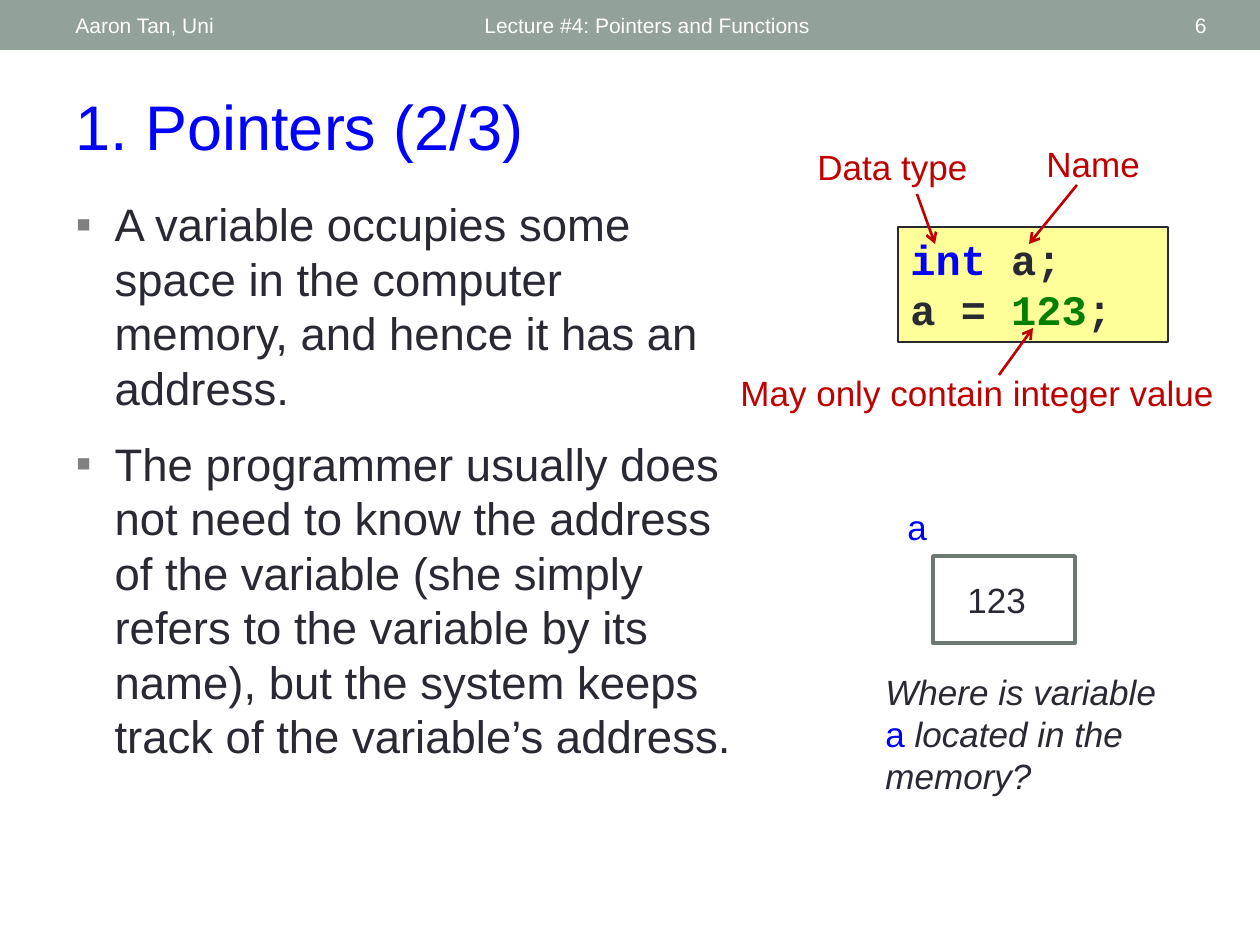
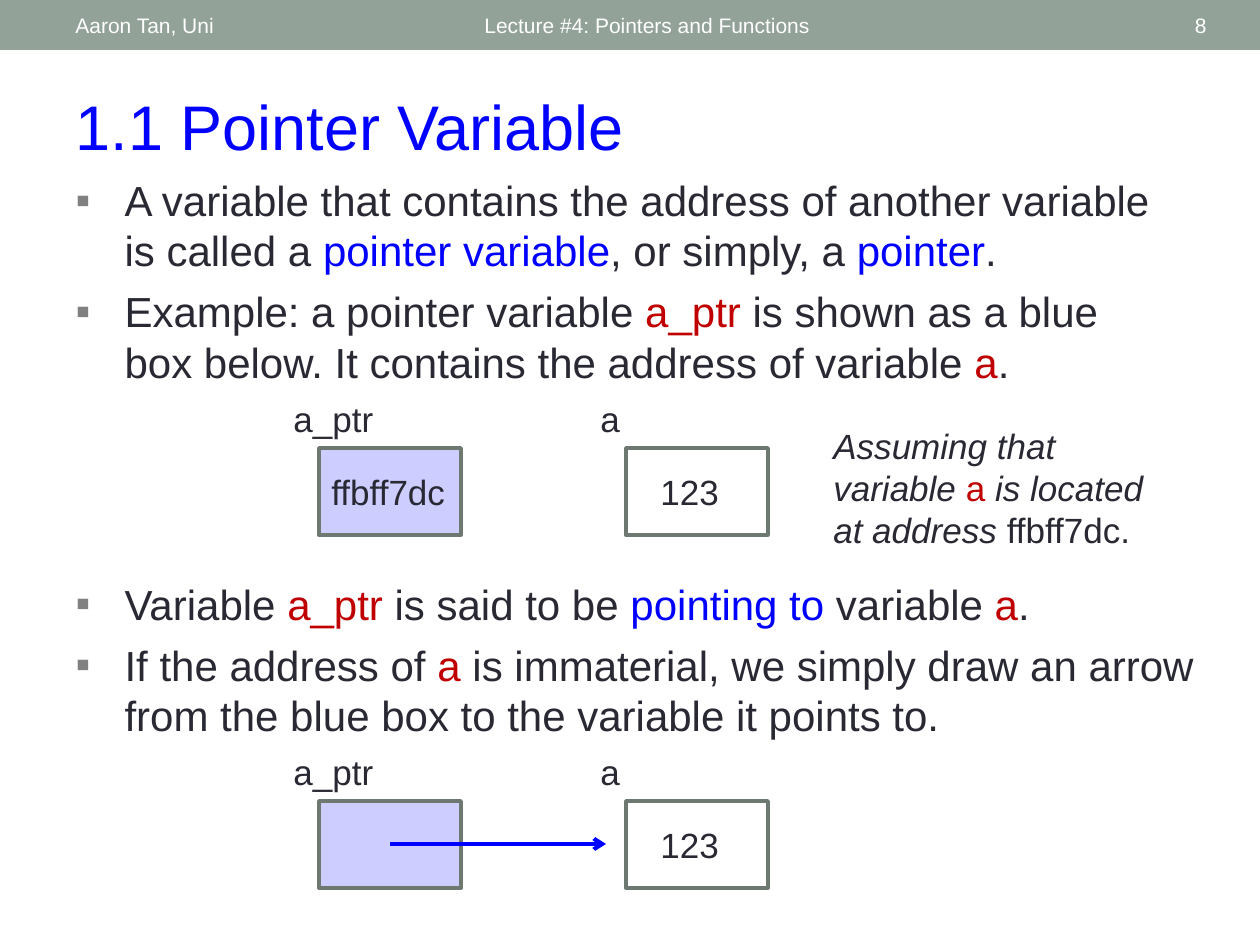
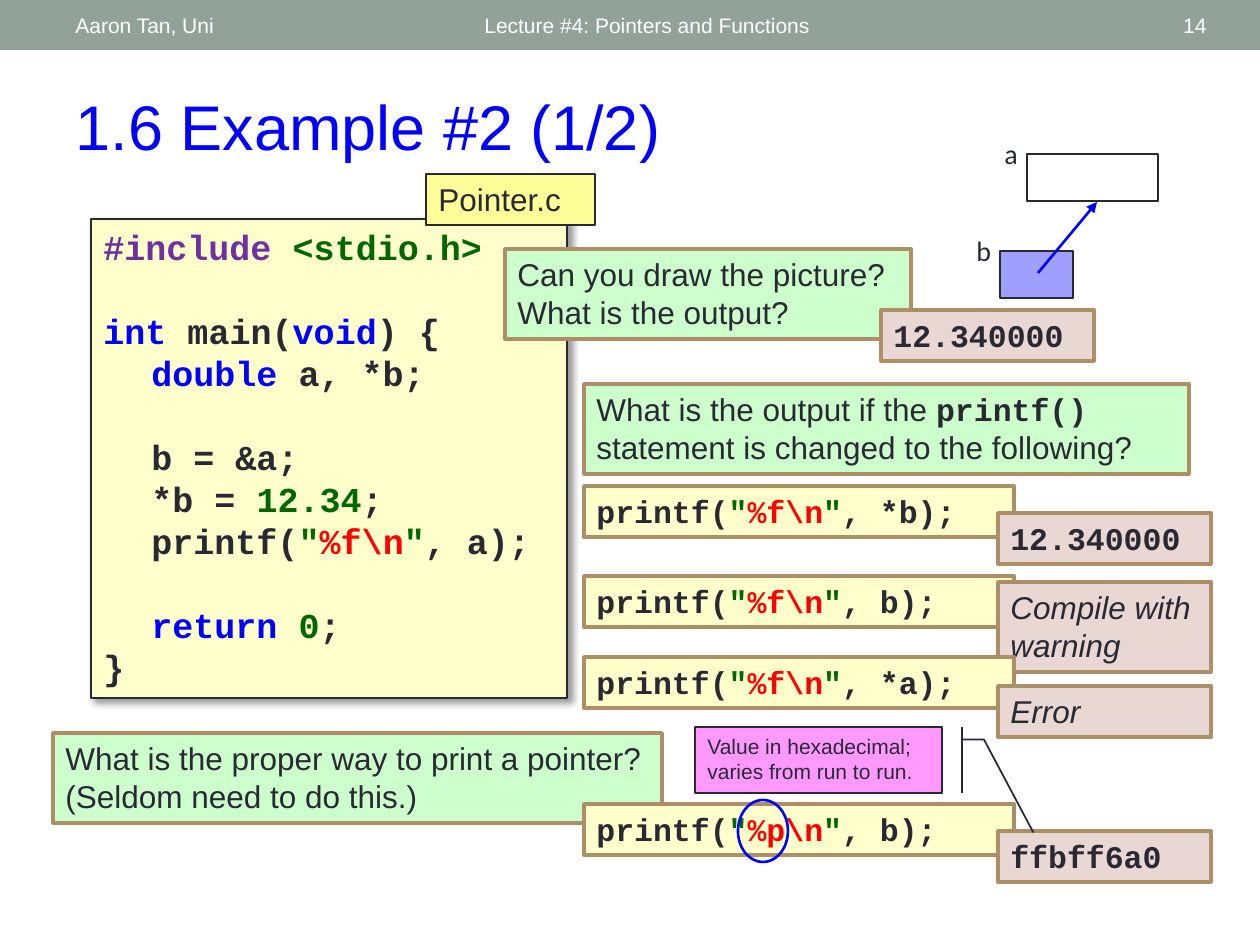
"""Build three lecture slides about pointers in C."""
from lxml import etree
from pptx import Presentation
from pptx.dml.color import RGBColor
from pptx.enum.shapes import MSO_CONNECTOR, MSO_SHAPE
from pptx.enum.text import MSO_ANCHOR, MSO_AUTO_SIZE, PP_ALIGN
from pptx.oxml.ns import qn
from pptx.util import Emu, Pt

SCALE = 914400 / 126
WHITE = RGBColor(0xFF, 0xFF, 0xFF)
INK = RGBColor(0x29, 0x29, 0x34)
BAND = RGBColor(0x93, 0xA2, 0x99)
BLUE = RGBColor(0x00, 0x00, 0xFF)
RED = RGBColor(0xC0, 0x00, 0x00)
BRIGHT_RED = RGBColor(0xFF, 0x00, 0x00)
GREEN = RGBColor(0x00, 0x80, 0x00)
DARK_GREEN = RGBColor(0x00, 0x66, 0x00)
PURPLE = RGBColor(0x70, 0x30, 0xA0)
YELLOW = RGBColor(0xFF, 0xFF, 0x99)
CREAM = RGBColor(0xFF, 0xFF, 0xCC)
MINT = RGBColor(0xCC, 0xFF, 0xCC)
ROSE = RGBColor(0xE9, 0xD7, 0xD3)
PINK = RGBColor(0xFF, 0x99, 0xFF)
LILAC = RGBColor(0xCD, 0xCD, 0xFF)
VIOLET = RGBColor(0x9F, 0x9F, 0xFF)
SLATE = RGBColor(0x6D, 0x78, 0x71)
TAN = RGBColor(0xAD, 0x8F, 0x67)
BULLET = RGBColor(0x80, 0x80, 0x80)
MONO = "Courier New"


def draw(page, place, fill=None, line=None, weight=0.75, kind=MSO_SHAPE.RECTANGLE):
    spot = [Emu(round(n * SCALE)) for n in place]
    if fill is None and line is None:
        return page.shapes.add_textbox(*spot)
    shape = page.shapes.add_shape(kind, *spot)
    shape.shadow.inherit = False
    if fill is None:
        shape.fill.background()
    else:
        shape.fill.solid()
        shape.fill.fore_color.rgb = fill
    if line is None:
        shape.line.fill.background()
    else:
        shape.line.color.rgb = line
        shape.line.width = Pt(weight)
    return shape


def write(shape, paras, align=PP_ALIGN.LEFT, anchor=MSO_ANCHOR.TOP, before=(), indent=0, tab=0, **look):
    base = {"size": 18, "font": "Arial", "color": INK, "bold": False, "italic": False, **look}
    frame = shape.text_frame
    frame.word_wrap = True
    frame.auto_size = MSO_AUTO_SIZE.NONE
    frame.vertical_anchor = anchor
    for index, spans in enumerate([[paras]] if isinstance(paras, str) else paras):
        para = frame.add_paragraph() if index else frame.paragraphs[0]
        para.alignment = align
        para.space_before = Pt(before[index] if before else 0)
        settings = para._p.get_or_add_pPr()
        if indent:
            settings.set("marL", str(round(indent * SCALE)))
            settings.set("indent", str(round(-indent * SCALE)))
            tint = etree.SubElement(settings, qn("a:buClr"))
            etree.SubElement(tint, qn("a:srgbClr"), val=str(BULLET))
            etree.SubElement(settings, qn("a:buFont"), typeface="Arial")
            etree.SubElement(settings, qn("a:buChar"), char="▪")
        if tab:
            stops = etree.SubElement(settings, qn("a:tabLst"))
            etree.SubElement(stops, qn("a:tab"), pos=str(round(tab * SCALE)), algn="l")
        for item in spans:
            text, changes = (item, {}) if isinstance(item, str) else item
            style = {**base, **changes}
            span = para.add_run()
            span.text = text
            span.font.size = Pt(style["size"])
            span.font.name = style["font"]
            span.font.color.rgb = style["color"]
            span.font.bold = style["bold"]
            span.font.italic = style["italic"]


blue, red, green = {"color": BLUE}, {"color": RED}, {"color": DARK_GREEN}
bright = {"color": BRIGHT_RED}

deck = Presentation()
deck.slide_width = Emu(round(1260 * SCALE))
deck.slide_height = Emu(round(945 * SCALE))

pages = []
for layout, number, title in [
    (1, "6", "1. Pointers (2/3)"),
    (3, "8", "1.1 Pointer Variable"),
    (5, "14", "1.6 Example #2 (1/2)"),
]:
    page = deck.slides.add_slide(deck.slide_layouts[layout])
    pages.append(page)
    draw(page, (0, 0, 1260, 50), fill=BAND)
    for place, text, align in [
        ((472, 3, 567, 45), "Lecture #4: Pointers and Functions", PP_ALIGN.LEFT),
        ((63, 3, 399, 45), "Aaron Tan, Uni", PP_ALIGN.LEFT),
        ((1099, 3, 120, 45), number, PP_ALIGN.RIGHT),
    ]:
        write(draw(page, place), text, size=12, color=WHITE, align=align, anchor=MSO_ANCHOR.MIDDLE)
    write(page.shapes.title, title, size=36, color=BLUE)
    heading = page.shapes.title
    heading.left, heading.top, heading.width, heading.height = [
        Emu(round(n * SCALE)) for n in (63, 81, 1134, 89)
    ]
variable_page, pointer_page, example_page = pages

for page, slot, place, size, indent, before, paras in [
    (variable_page, 1, (63, 190, 685, 585), 26, 39, (6, 12), [
        ["A variable occupies some space in the computer memory, and hence it has an address."],
        ["The programmer usually does not need to know the address of the variable (she simply "
         "refers to the variable by its name), but the system keeps track of the variable’s address."],
    ]),
    (pointer_page, 1, (63, 168, 1104, 272), 24, 49, (6, 6), [
        ["A variable that contains the address of another variable is called a ",
         ("pointer variable", blue), ", or simply, a ", ("pointer", blue), "."],
        ["Example: a pointer variable ", ("a_ptr", red),
         " is shown as a blue box below. It contains the address of variable ", ("a", red), "."],
    ]),
    (pointer_page, 2, (63, 572, 1148, 178), 24, 49, (6, 6), [
        ["Variable ", ("a_ptr", red), " is said to be ", ("pointing to ", blue),
         "variable ", ("a", red), "."],
        ["If the address of ", ("a", red),
         " is immaterial, we simply draw an arrow from the blue box to the variable it points to."],
    ]),
]:
    body = page.placeholders[slot]
    body.left, body.top, body.width, body.height = [Emu(round(n * SCALE)) for n in place]
    write(body, paras, size=size, indent=indent, before=before)

declaration = draw(variable_page, (898, 227, 270, 115), fill=YELLOW, line=INK)
write(declaration, [
    [("int", blue), " a;"],
    ["a = ", ("123", {"color": GREEN}), ";"],
], size=24, font=MONO, bold=True)

for place, text in [
    ((805, 139, 195, 55), "Data type"),
    ((1034, 136, 135, 55), "Name"),
    ((728, 365, 503, 55), "May only contain integer value"),
]:
    write(draw(variable_page, place), text, size=20, color=RED)

for page, left, top, name, name_color, value, inset, fill in [
    (variable_page, 933, 556, "a", BLUE, "123", 22, None),
    (pointer_page, 626, 448, "a", INK, "123", 22, None),
    (pointer_page, 319, 448, "a_ptr", INK, "ffbff7dc", 0, LILAC),
    (pointer_page, 626, 801, "a", INK, "123", 22, None),
    (pointer_page, 319, 801, "a_ptr", INK, "", 0, LILAC),
]:
    draw(page, (left, top, 142, 87), fill=fill, line=SLATE, weight=2.08)
    write(draw(page, (left - 38, top - 57, 108, 55)), name, size=20, color=name_color)
    if value:
        write(draw(page, (left + inset, top + 16, 142 - 2 * inset, 55)), value, size=20)

write(draw(variable_page, (873, 664, 311, 140)), [
    ["Where is variable ", ("a", {"color": BLUE, "italic": False}), " located in the memory?"],
], size=20, italic=True)
write(draw(pointer_page, (821, 418, 367, 140)), [
    ["Assuming that variable ", ("a", {"color": RED, "italic": False}),
     " is located at address ", ("ffbff7dc.", {"italic": False})],
], size=20, italic=True)

listing = draw(example_page, (91, 219, 476, 479), fill=CREAM, line=INK, weight=1.5)
shadow = etree.SubElement(
    listing._element.spPr.find(qn("a:effectLst")), qn("a:outerShdw"),
    blurRad=str(Pt(4)), dist=str(Pt(3)), dir="2700000", algn="tl", rotWithShape="0",
)
shade = etree.SubElement(shadow, qn("a:srgbClr"), val="000000")
etree.SubElement(shade, qn("a:alpha"), val="40000")
write(listing, [
    [("#include ", {"color": PURPLE}), ("<stdio.h>", green)],
    [("int", blue), " main(", ("void", blue), ") {"],
    ["\t", ("double", blue), " a, *b;"],
    ["\tb = &a;"],
    ["\t*b = ", ("12.34", green), ";"],
    ["\tprintf(", ('"', green), ("%f\\n", bright), ('"', green), ", a);"],
    ["\t", ("return ", blue), ("0", green), ";"],
    ["}"],
], size=20, font=MONO, bold=True, tab=48, before=(0, 24, 0, 24, 0, 0, 24, 0))
write(draw(example_page, (426, 174, 169, 51), fill=YELLOW, line=INK), "Pointer.c")

code = {"font": MONO, "bold": True}
calls = [
    [["printf(", ('"', green), (mark + "\\n", bright), ('"', green), f", {argument});"]]
    for mark, argument in [("%f", "*b"), ("%f", "b"), ("%f", "*a"), ("%p", "b")]
]
for place, fill, paras, look in [
    ((505, 249, 406, 90), MINT, [["Can you draw the picture?"], ["What is the output?"]], {}),
    ((584, 384, 605, 90), MINT,
     [["What is the output if the ", ("printf() ", code), "statement is changed to the following?"]], {}),
    ((584, 486, 430, 51), CREAM, calls[0], code),
    ((584, 576, 430, 51), CREAM, calls[1], code),
    ((881, 310, 213, 51), ROSE, "12.340000", code),
    ((998, 513, 213, 51), ROSE, "12.340000", code),
    ((998, 582, 213, 90), ROSE, "Compile with warning", {"italic": True}),
    ((584, 657, 430, 51), CREAM, calls[2], code),
    ((998, 686, 213, 51), ROSE, "Error", {"italic": True}),
    ((53, 733, 609, 90), MINT,
     "What is the proper way to print a pointer? (Seldom need to do this.)", {}),
    ((584, 804, 430, 51), CREAM, calls[3], code),
    ((998, 831, 213, 51), ROSE, "ffbff6a0", code),
]:
    write(draw(example_page, place, fill=fill, line=TAN, weight=2.08), paras, **look)

for left, top, name, box_left, box_width, fill in [
    (992, 130, "a", 1027, 131, None),
    (964, 227, "b", 1000, 73, VIOLET),
]:
    write(draw(example_page, (left, top, 47, 47)), name, size=16, font="Calibri")
    draw(example_page, (box_left, top + 24, box_width, 47), fill=fill, line=INK)

draw(example_page, (738, 800, 50, 62), line=BLUE, weight=1.5, kind=MSO_SHAPE.OVAL)
callout = draw(example_page, (695, 727, 247, 66), fill=PINK, line=INK, weight=1,
               kind=MSO_SHAPE.LINE_CALLOUT_2_BORDER_AND_ACCENT_BAR)
for index, ratio in enumerate((0.19, 1.08, 0.19, 1.17, 1.6, 1.37)):
    callout.adjustments[index] = ratio
write(callout, "Value in hexadecimal; varies from run to run.", size=12)

for page, ends, color, weight, head in [
    (variable_page, (917, 194, 935, 244), RED, 1.5, "arrow"),
    (variable_page, (1077, 185, 1029, 244), RED, 1.5, "arrow"),
    (variable_page, (999, 375, 1033, 328), RED, 1.5, "arrow"),
    (pointer_page, (390, 844, 606, 844), BLUE, 2.25, "arrow"),
    (example_page, (1038, 273, 1097, 202), BLUE, 1.5, "triangle"),
]:
    arrow = page.shapes.add_connector(MSO_CONNECTOR.STRAIGHT, *[Emu(round(n * SCALE)) for n in ends])
    arrow.line.color.rgb = color
    arrow.line.width = Pt(weight)
    etree.SubElement(arrow.line._get_or_add_ln(), qn("a:tailEnd"), type=head)
    etree.SubElement(arrow._element.spPr, qn("a:effectLst"))

deck.save("out.pptx")
